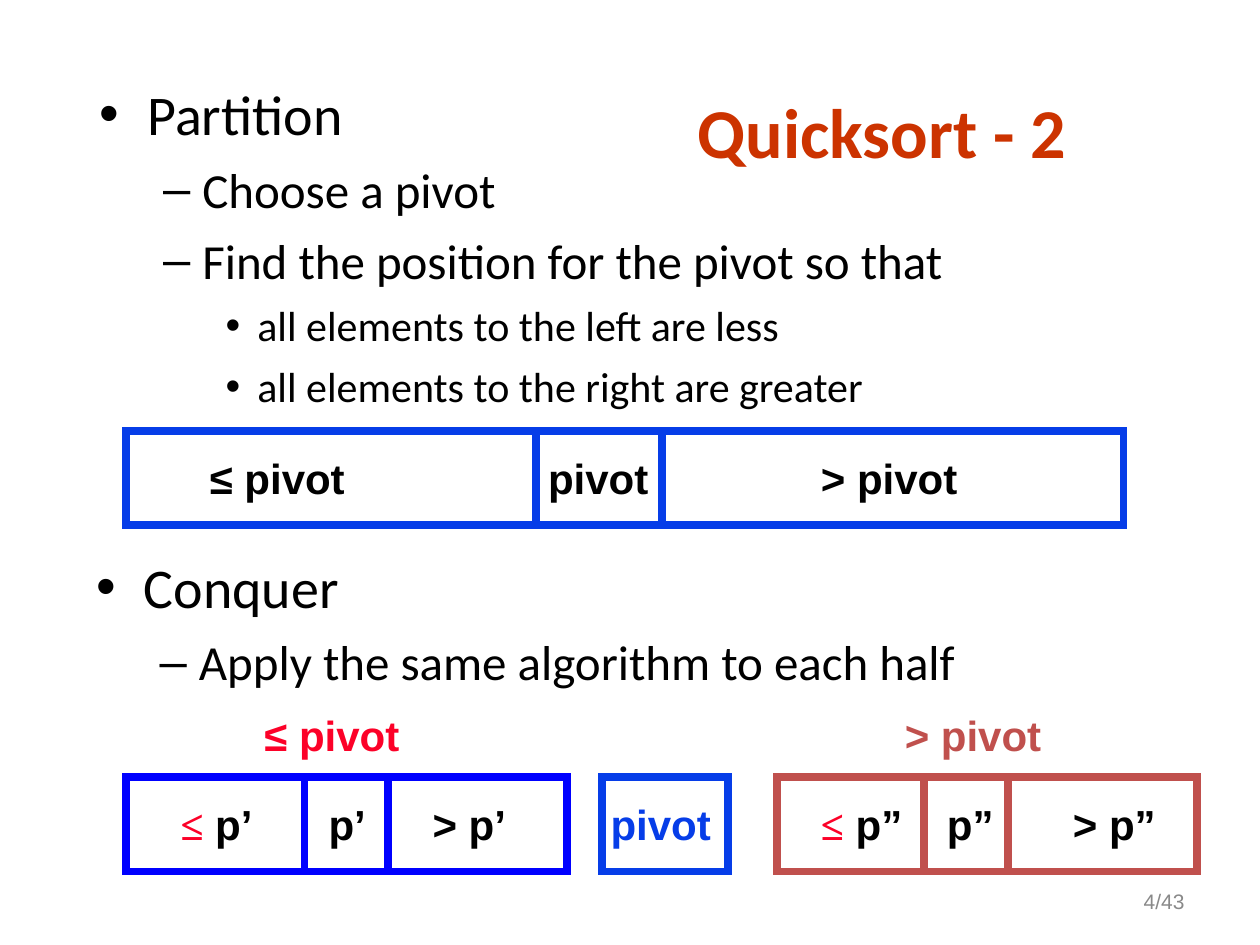
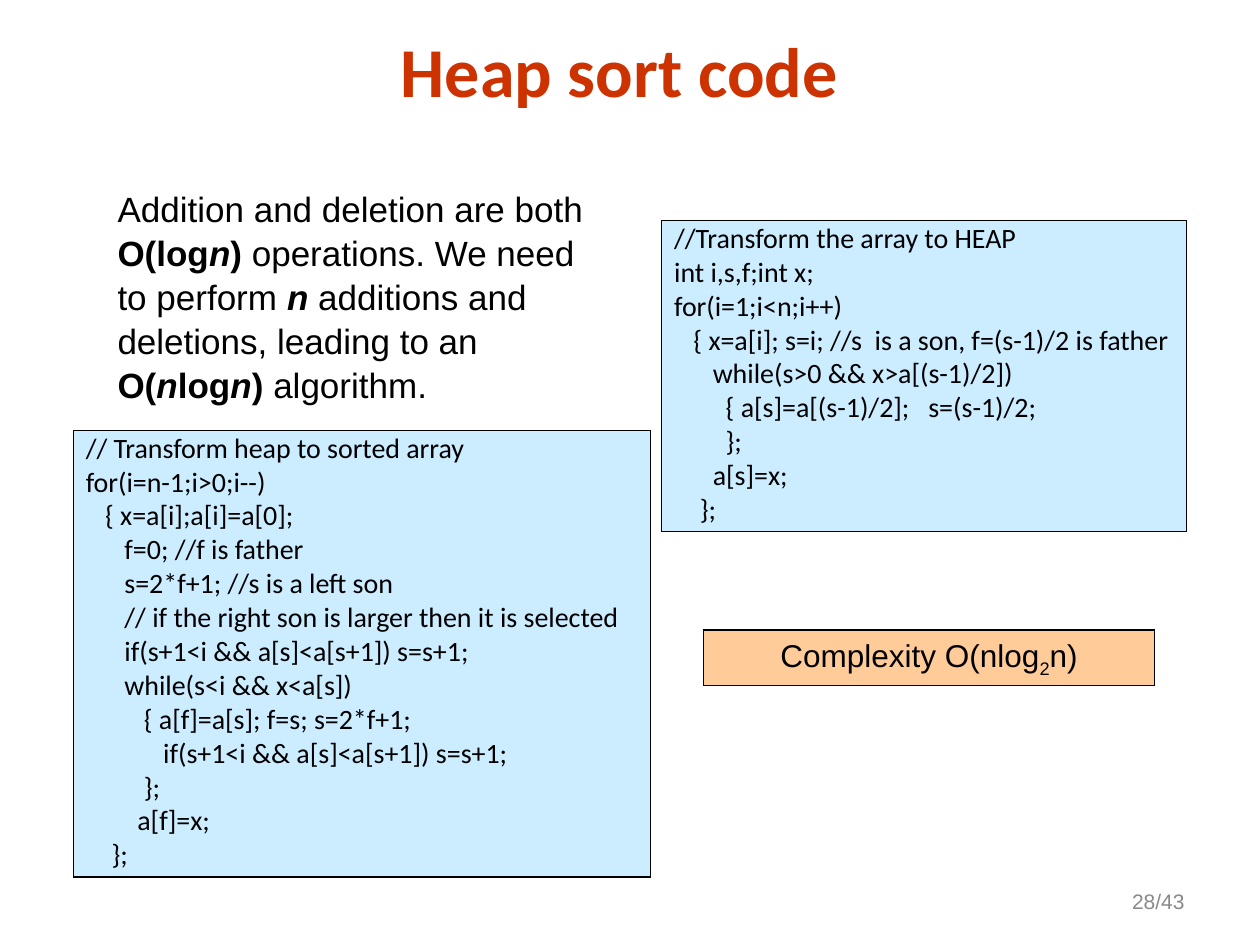
from dataclasses import dataclass

from lxml import etree
from pptx import Presentation
from pptx.dml.color import RGBColor
from pptx.enum.shapes import MSO_SHAPE
from pptx.enum.text import MSO_ANCHOR, MSO_AUTO_SIZE, PP_ALIGN
from pptx.oxml.ns import qn
from pptx.util import Cm, Pt

RECTANGLE = MSO_SHAPE.RECTANGLE
LEFT, CENTER, RIGHT = PP_ALIGN.LEFT, PP_ALIGN.CENTER, PP_ALIGN.RIGHT
TOP, MIDDLE = MSO_ANCHOR.TOP, MSO_ANCHOR.MIDDLE
FIT_SHAPE, FIXED = MSO_AUTO_SIZE.SHAPE_TO_FIT_TEXT, MSO_AUTO_SIZE.NONE


@dataclass(frozen=True)
class Theme:
    heading_font: str = "Calibri"
    body_font: str = "Arial"
    symbol_font: str = "Times New Roman"
    title: str = "CC3300"
    text: str = "000000"
    footer: str = "898989"
    pivot: str = "063DE8"
    left_half: str = "0000FF"
    right_half: str = "C0504D"
    less: str = "FC0128"
    code_fill: str = "CCECFF"
    result_fill: str = "FFCC99"
    title_size: int = 40
    label_size: int = 24
    paragraph_size: int = 20
    result_size: int = 18
    code_size: int = 16
    footer_size: int = 12
    bar_line: float = 4.5
    box_line: float = 0.75


THEME = Theme()
PAGE_COUNT = 43
FOOTER_BOX = (18.2, 17.65, 5.93, 1.02)
TITLE_HEIGHT = 1.96
CODE_SPACE = 0.13

# level: margin, hanging, space before, size, bullet
LEVELS = [
    (0.96, 0.96, 8, 32, "•"),
    (2.07, 0.79, 7, 28, "–"),
    (3.18, 0.64, 6, 24, "•"),
]

OUTLINES = [
    ((1.76, 1.48, 21.79, 6.93), [
        (0, "Partition"),
        (1, "Choose a pivot"),
        (1, "Find the position for the pivot so that"),
        (2, "all elements to the left are less"),
        (2, "all elements to the right are greater"),
    ]),
    ((1.69, 11.01, 21.79, 3.02), [
        (0, "Conquer"),
        (1, "Apply the same algorithm to each half"),
    ]),
]

PARTITION_TOP, CONQUER_TOP, BAR_HEIGHT = 8.69, 15.67, 1.9
BARS = [
    (PARTITION_TOP, THEME.pivot, [(2.54, 20.11), (10.8, 2.54)]),
    (CONQUER_TOP, THEME.left_half, [(2.54, 8.89), (6.14, 1.69)]),
    (CONQUER_TOP, THEME.pivot, [(12.14, 2.54)]),
    (CONQUER_TOP, THEME.right_half, [(15.67, 8.46), (18.63, 1.69)]),
]

LABEL_OFFSET, LABEL_HEIGHT = 0.3, 1.27
HALVES_TOP = 14.18
LESS_SIGN = ("≤", {"font": THEME.symbol_font, "color": THEME.less})
LABELS = [
    (PARTITION_TOP + LABEL_OFFSET, [
        (3.98, 3.25, [("≤ pivot", {})]),
        (10.8, 2.55, [("pivot", {})]),
        (16.3, 3.28, [("> pivot", {})]),
    ]),
    (HALVES_TOP, [
        (5.08, 3.25, [("≤ pivot", {"color": THEME.less})]),
        (17.99, 3.28, [("> pivot", {"color": THEME.right_half})]),
    ]),
    (CONQUER_TOP + LABEL_OFFSET, [
        (3.39, 1.98, [LESS_SIGN, (" p’", {})]),
        (6.14, 1.5, [(" p’", {})]),
        (8.47, 2.01, [("> p’", {})]),
        (12.06, 2.55, [("pivot", {"color": THEME.pivot})]),
        (16.3, 2.16, [LESS_SIGN, (" p”", {})]),
        (18.84, 1.47, [("p”", {})]),
        (21.38, 2.2, [("> p”", {})]),
    ]),
]

BOLD, BOLD_ITALIC = {"bold": True}, {"bold": True, "italic": True}
EXPLANATION = [
    ("Addition and deletion are both ", {}),
    ("O(log", BOLD), ("n", BOLD_ITALIC), (")", BOLD),
    (" operations. We need to perform ", {}),
    ("n", BOLD_ITALIC),
    (" additions and deletions, leading to an ", {}),
    ("O(", BOLD), ("n", BOLD_ITALIC), ("log", BOLD),
    ("n", BOLD_ITALIC), (")", BOLD),
    (" algorithm.", {}),
]
COMPLEXITY = [("Complexity O(nlog", {}), ("2", {"baseline": -25}), ("n)", {})]

CODE_BLOCKS = [
    ((1.48, 8.68, 11.64, 9), [
        (0, "// Transform heap to sorted array"),
        (0, "for(i=n-1;i>0;i--)"),
        (3, "{ x=a[i];a[i]=a[0];"),
        (6, "f=0; //f is father"),
        (6, "s=2*f+1; //s is a left son"),
        (6, "// if the right son is larger then it is selected"),
        (6, "if(s+1<i && a[s]<a[s+1]) s=s+1;"),
        (6, "while(s<i && x<a[s])"),
        (9, "{ a[f]=a[s]; f=s; s=2*f+1;"),
        (12, "if(s+1<i && a[s]<a[s+1]) s=s+1;"),
        (9, "};"),
        (8, "a[f]=x;"),
        (4, "};"),
    ]),
    ((13.34, 4.45, 10.58, 6.27), [
        (0, "//Transform the array to HEAP"),
        (0, "int i,s,f;int x;"),
        (0, "for(i=1;i<n;i++)"),
        (3, "{ x=a[i]; s=i; //s  is a son, f=(s-1)/2 is father"),
        (6, "while(s>0 && x>a[(s-1)/2])"),
        (8, "{ a[s]=a[(s-1)/2];   s=(s-1)/2;"),
        (8, "};"),
        (6, "a[s]=x;"),
        (4, "};"),
    ]),
]


def add_rectangle(slide, box, line, line_width, fill=None):
    shape = slide.shapes.add_shape(RECTANGLE, *map(Cm, box))
    shape.shadow.inherit = False
    shape.line.color.rgb = RGBColor.from_string(line)
    shape.line.width = Pt(line_width)
    outline = shape._element.spPr.find(qn("a:ln"))
    etree.SubElement(outline, qn("a:miter")).set("lim", "800000")
    if fill:
        shape.fill.solid()
        shape.fill.fore_color.rgb = RGBColor.from_string(fill)
    else:
        shape.fill.background()
    return shape


def prepare_frame(shape, anchor=TOP, wrap=True):
    frame = shape.text_frame
    frame.word_wrap = wrap
    frame.auto_size = FIXED if wrap else FIT_SHAPE
    frame.vertical_anchor = anchor
    return frame


def add_text_box(slide, box, anchor=TOP, wrap=True):
    return prepare_frame(slide.shapes.add_textbox(*map(Cm, box)), anchor, wrap)


def write_runs(paragraph, runs, size, font=THEME.body_font, color=THEME.text,
               bold=False, align=LEFT):
    paragraph.alignment = align
    for text, style in runs:
        run = paragraph.add_run()
        run.text = text
        run.font.size = Pt(size)
        run.font.name = style.get("font", font)
        run.font.bold = style.get("bold", bold)
        run.font.italic = style.get("italic", False)
        run.font.color.rgb = RGBColor.from_string(style.get("color", color))
        if "baseline" in style:
            run._r.get_or_add_rPr().set("baseline", str(style["baseline"] * 1000))


def paragraphs_for(frame, items):
    for index, item in enumerate(items):
        yield frame.paragraphs[0] if index == 0 else frame.add_paragraph(), item


def add_outline(slide, box, items):
    frame = add_text_box(slide, box)
    for paragraph, (level, text) in paragraphs_for(frame, items):
        margin, hanging, space, size, bullet = LEVELS[level]
        write_runs(paragraph, [(text, {})], size, THEME.heading_font)
        paragraph.level = level
        paragraph.space_before = Pt(space)
        properties = paragraph._p.get_or_add_pPr()
        properties.set("marL", str(Cm(margin)))
        properties.set("indent", str(-Cm(hanging)))
        etree.SubElement(properties, qn("a:buFont")).set("typeface", THEME.body_font)
        etree.SubElement(properties, qn("a:buChar")).set("char", bullet)


def add_code(slide, box, lines):
    frame = prepare_frame(add_rectangle(
        slide, box, THEME.text, THEME.box_line, THEME.code_fill))
    for paragraph, (spaces, text) in paragraphs_for(frame, lines):
        write_runs(paragraph, [(text, {})], THEME.code_size, THEME.heading_font)
        paragraph.line_spacing = 0.8
        paragraph.space_before = Pt(4)
        paragraph._p.get_or_add_pPr().set("marL", str(Cm(spaces * CODE_SPACE)))


def add_slide(presentation, title, left, top, width, number):
    slide = presentation.slides.add_slide(presentation.slide_layouts[6])
    frame = add_text_box(slide, (left, top, width, TITLE_HEIGHT), MIDDLE)
    write_runs(frame.paragraphs[0], [(title, {})], THEME.title_size,
               THEME.heading_font, THEME.title, True, CENTER)
    frame = add_text_box(slide, FOOTER_BOX, MIDDLE)
    write_runs(frame.paragraphs[0], [(f"{number}/{PAGE_COUNT}", {})],
               THEME.footer_size, color=THEME.footer, align=RIGHT)
    return slide


def build_quicksort(presentation):
    slide = add_slide(presentation, "Quicksort - 2", 12.28, 1.65, 11, 4)
    for box, items in OUTLINES:
        add_outline(slide, box, items)
    for top, color, cells in BARS:
        for left, width in cells:
            add_rectangle(slide, (left, top, width, BAR_HEIGHT), color, THEME.bar_line)
    for top, labels in LABELS:
        for left, width, runs in labels:
            frame = add_text_box(slide, (left, top, width, LABEL_HEIGHT), wrap=False)
            write_runs(frame.paragraphs[0], runs, THEME.label_size, bold=True)


def build_heap_sort(presentation):
    slide = add_slide(presentation, "Heap sort code", 1.69, 0.42, 21.59, 28)
    for box, lines in CODE_BLOCKS:
        add_code(slide, box, lines)
    paragraph = add_text_box(slide, (2.12, 3.61, 10.37, 4.7)).paragraphs[0]
    write_runs(paragraph, EXPLANATION, THEME.paragraph_size)
    paragraph.line_spacing = 1.05
    result = add_rectangle(slide, (14.18, 12.7, 9.1, 1.12), THEME.text,
                           THEME.box_line, THEME.result_fill)
    write_runs(prepare_frame(result).paragraphs[0], COMPLEXITY,
               THEME.result_size, align=CENTER)


def main():
    presentation = Presentation()
    presentation.slide_width, presentation.slide_height = Cm(25.4), Cm(19.05)
    build_quicksort(presentation)
    build_heap_sort(presentation)
    presentation.save("out.pptx")


if __name__ == "__main__":
    main()
